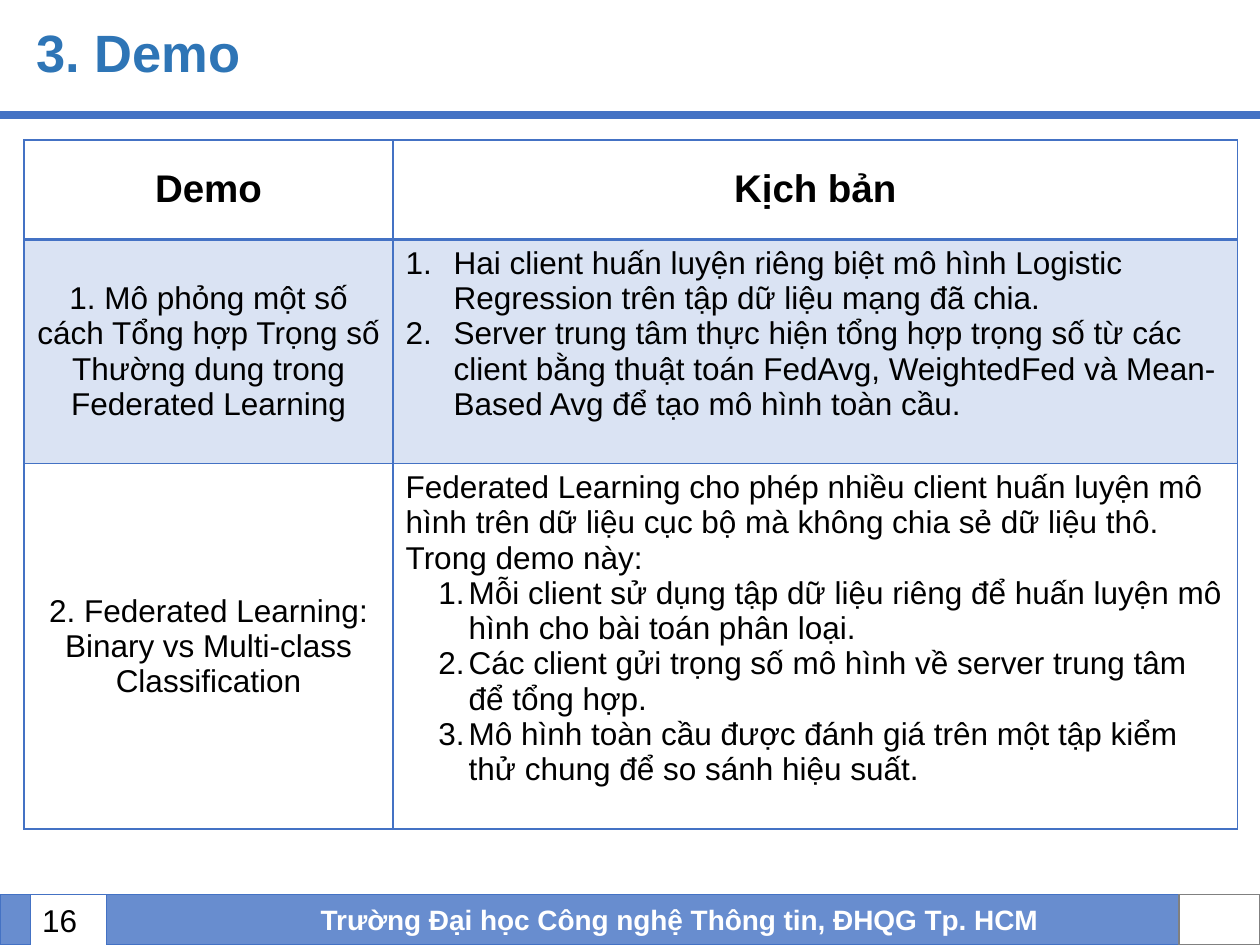
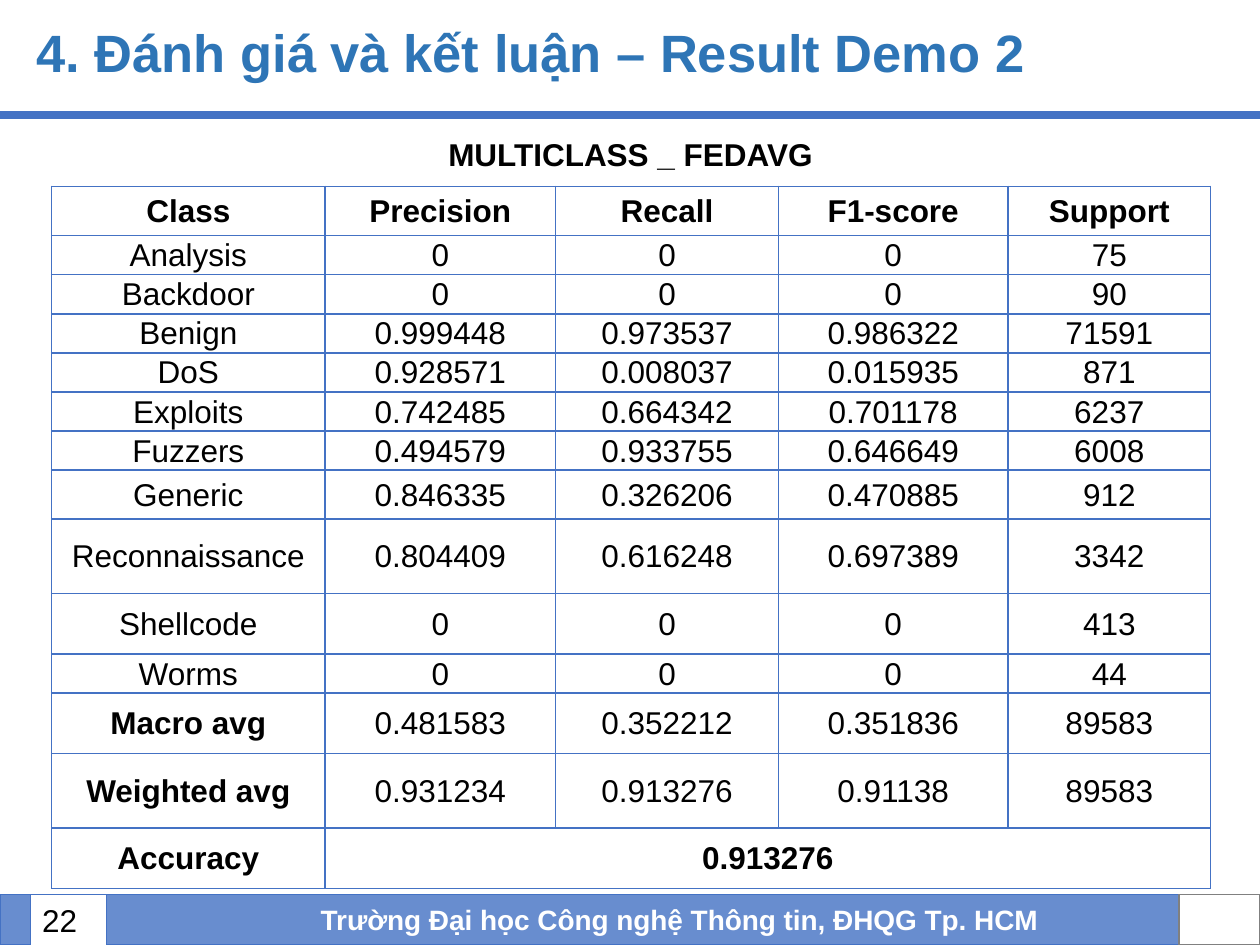
from lxml import etree
from pptx import Presentation
from pptx.dml.color import RGBColor
from pptx.enum.shapes import MSO_CONNECTOR, MSO_SHAPE
from pptx.enum.text import MSO_ANCHOR, MSO_AUTO_SIZE, PP_ALIGN
from pptx.oxml.ns import qn
from pptx.util import Inches, Pt

RECT = MSO_SHAPE.RECTANGLE
STRAIGHT = MSO_CONNECTOR.STRAIGHT
MIDDLE, TOP = MSO_ANCHOR.MIDDLE, MSO_ANCHOR.TOP
LEFT, CENTER, RIGHT = PP_ALIGN.LEFT, PP_ALIGN.CENTER, PP_ALIGN.RIGHT
NO_AUTOSIZE = MSO_AUTO_SIZE.NONE

FONT = "Arial"
BLUE, TITLE_BLUE, FOOTER_BLUE, PALE_BLUE = "4472C4", "2E75B6", "688DCF", "DAE3F3"
BLACK, WHITE, GRAY = "000000", "FFFFFF", "808080"
FOOTER_TEXT = "Trường Đại học Công nghệ Thông tin, ĐHQG Tp. HCM"
FOOTER_TOP, FOOTER_H = 7.1, 0.4

DEMO_1 = "1. Mô phỏng một số cách Tổng hợp Trọng số Thường dung trong Federated Learning"
DEMO_1_STEPS = [
    "Hai client huấn luyện riêng biệt mô hình Logistic Regression trên tập dữ liệu mạng đã chia.",
    "Server trung tâm thực hiện tổng hợp trọng số từ các client bằng thuật toán FedAvg, "
    "WeightedFed và Mean-Based Avg để tạo mô hình toàn cầu.",
]
DEMO_2 = "2. Federated Learning: Binary vs Multi-class Classification"
DEMO_2_INTRO = ("Federated Learning cho phép nhiều client huấn luyện mô hình trên dữ liệu cục bộ "
                "mà không chia sẻ dữ liệu thô. Trong demo này:")
DEMO_2_STEPS = [
    "Mỗi client sử dụng tập dữ liệu riêng để huấn luyện mô hình cho bài toán phân loại.",
    "Các client gửi trọng số mô hình về server trung tâm để tổng hợp.",
    "Mô hình toàn cầu được đánh giá trên một tập kiểm thử chung để so sánh hiệu suất.",
]

RESULTS = [
    ("Class", "Precision", "Recall", "F1-score", "Support"),
    ("Analysis", "0", "0", "0", "75"),
    ("Backdoor", "0", "0", "0", "90"),
    ("Benign", "0.999448", "0.973537", "0.986322", "71591"),
    ("DoS", "0.928571", "0.008037", "0.015935", "871"),
    ("Exploits", "0.742485", "0.664342", "0.701178", "6237"),
    ("Fuzzers", "0.494579", "0.933755", "0.646649", "6008"),
    ("Generic", "0.846335", "0.326206", "0.470885", "912"),
    ("Reconnaissance", "0.804409", "0.616248", "0.697389", "3342"),
    ("Shellcode", "0", "0", "0", "413"),
    ("Worms", "0", "0", "0", "44"),
    ("Macro avg", "0.481583", "0.352212", "0.351836", "89583"),
    ("Weighted avg", "0.931234", "0.913276", "0.91138", "89583"),
    ("Accuracy", "0.913276"),
]
RESULT_COLS = [2.17, 1.83, 1.77, 1.82, 1.61]
RESULT_ROWS = [0.39] + [0.3] * 6 + [0.39, 0.59, 0.48, 0.3, 0.48, 0.59, 0.48]
BOLD_LABELS = ("Macro avg", "Weighted avg", "Accuracy")


def rgb(color):
    return RGBColor.from_string(color)


def format_text(p, size, color=BLACK, bold=False, align=LEFT):
    p.alignment = align
    for r in p.runs:
        r.font.name = FONT
        r.font.size = Pt(size)
        r.font.bold = bold
        r.font.color.rgb = rgb(color)


def number_paragraph(p, margin, hanging):
    pPr = p._p.get_or_add_pPr()
    pPr.set("marL", str(Inches(margin)))
    pPr.set("indent", str(-Inches(hanging)))
    etree.SubElement(pPr, qn("a:buFont"), typeface="+mj-lt")
    etree.SubElement(pPr, qn("a:buAutoNum"), type="arabicPeriod")


def add_rect(slide, x, w, fill, line, line_width):
    sp = slide.shapes.add_shape(RECT, Inches(x), Inches(FOOTER_TOP), Inches(w), Inches(FOOTER_H))
    sp.shadow.inherit = False
    sp.fill.solid()
    sp.fill.fore_color.rgb = rgb(fill)
    sp.line.color.rgb = rgb(line)
    sp.line.width = Pt(line_width)
    return sp


def add_text(slide, x, y, w, h, text, size, **style):
    sp = slide.shapes.add_textbox(Inches(x), Inches(y), Inches(w), Inches(h))
    tf = sp.text_frame
    tf.word_wrap = True
    tf.vertical_anchor = MIDDLE
    tf.text = text
    format_text(tf.paragraphs[0], size, **style)


def add_title_rule(slide):
    y = Inches(0.91)
    rule = slide.shapes.add_connector(STRAIGHT, 0, y, Inches(10), y)
    rule.line.color.rgb = rgb(BLUE)
    rule.line.width = Pt(4.5)
    etree.SubElement(rule._element.spPr, qn("a:effectLst"))


def add_footer(slide, number):
    band = add_rect(slide, 0, 9.48, FOOTER_BLUE, BLUE, 1)
    tf = band.text_frame
    tf.margin_left = tf.margin_right = Inches(0.15)
    tf.margin_top = tf.margin_bottom = Inches(0.07)
    tf.vertical_anchor = MIDDLE
    tf.text = FOOTER_TEXT
    p = tf.paragraphs[0]
    p._p.get_or_add_pPr().set("marL", str(Inches(1.31)))
    format_text(p, 16, WHITE, True, CENTER)
    add_rect(slide, 0.24, 0.6, WHITE, BLUE, 0.25)
    add_rect(slide, 9.36, 0.64, WHITE, GRAY, 1)
    add_text(slide, 0.11, FOOTER_TOP, 0.6, FOOTER_H, number, 18, align=RIGHT)


def add_slide(prs, title, number):
    slide = prs.slides.add_slide(prs.slide_layouts[5])
    sp = slide.shapes.title
    sp.left, sp.top, sp.width, sp.height = Inches(0.19), Inches(0.16), Inches(8.98), Inches(0.56)
    tf = sp.text_frame
    tf.text = title
    tf.word_wrap = True
    tf.auto_size = NO_AUTOSIZE
    tf.vertical_anchor = MIDDLE
    p = tf.paragraphs[0]
    p.line_spacing = 0.9
    format_text(p, 30, TITLE_BLUE, True)
    add_title_rule(slide)
    add_footer(slide, number)
    return slide


def set_borders(cell, top=1, bottom=1):
    tcPr = cell._tc.get_or_add_tcPr()
    for side, width in (("L", 1), ("R", 1), ("T", top), ("B", bottom)):
        ln = etree.SubElement(tcPr, qn(f"a:ln{side}"), w=str(Pt(width)))
        fill = etree.SubElement(ln, qn("a:solidFill"))
        etree.SubElement(fill, qn("a:srgbClr"), val=BLUE)


def add_table(slide, x, y, cols, rows, header_rule=1):
    table = slide.shapes.add_table(len(rows), len(cols), Inches(x), Inches(y),
                                   Inches(sum(cols)), Inches(sum(rows))).table
    table.first_row = table.horz_banding = False
    for column, width in zip(table.columns, cols):
        column.width = Inches(width)
    for i, (row, height) in enumerate(zip(table.rows, rows)):
        row.height = Inches(height)
        for cell in row.cells:
            set_borders(cell, top=header_rule if i == 1 else 1,
                        bottom=header_rule if i == 0 else 1)
            cell.fill.background()
            cell.vertical_anchor = MIDDLE
    return table


def fill_cell(cell, text, size=18, bold=False):
    cell.text = text
    format_text(cell.text_frame.paragraphs[0], size, bold=bold, align=CENTER)


def fill_scenario(cell, steps, margin, hanging, intro=None):
    cell.vertical_anchor = TOP
    tf = cell.text_frame
    lines = [intro] + steps if intro else steps
    tf.text = "\n".join(lines)
    for p in tf.paragraphs:
        if p.text != intro:
            number_paragraph(p, margin, hanging)
        format_text(p, 18)


def build_demo_slide(prs):
    slide = add_slide(prs, "3. Demo", "16")
    table = add_table(slide, 0.19, 1.11, [2.93, 6.7], [0.79, 1.78, 2.9], header_rule=2)
    for col, heading in enumerate(("Demo", "Kịch bản")):
        fill_cell(table.cell(0, col), heading, 22, True)
        shaded = table.cell(1, col)
        shaded.fill.solid()
        shaded.fill.fore_color.rgb = rgb(PALE_BLUE)
    fill_cell(table.cell(1, 0), DEMO_1)
    fill_cell(table.cell(2, 0), DEMO_2)
    fill_scenario(table.cell(1, 1), DEMO_1_STEPS, 0.38, 0.38)
    fill_scenario(table.cell(2, 1), DEMO_2_STEPS, 0.5, 0.24, DEMO_2_INTRO)


def build_result_slide(prs):
    slide = add_slide(prs, "4. Đánh giá và kết luận – Result Demo 2", "22")
    table = add_table(slide, 0.41, 1.48, RESULT_COLS, RESULT_ROWS)
    last = len(RESULTS) - 1
    table.cell(last, 1).merge(table.cell(last, len(RESULT_COLS) - 1))
    for i, values in enumerate(RESULTS):
        for j, value in enumerate(values):
            cell = table.cell(i, j)
            cell.margin_left = cell.margin_right = cell.margin_top = Inches(0.01)
            cell.margin_bottom = 0
            fill_cell(cell, value, bold=i in (0, last) or value in BOLD_LABELS)
    add_text(slide, 2.74, 1.02, 4.53, 0.4, "MULTICLASS _ FEDAVG", 18, bold=True, align=CENTER)


def main():
    prs = Presentation()
    prs.slide_width, prs.slide_height = Inches(10), Inches(7.5)
    build_demo_slide(prs)
    build_result_slide(prs)
    prs.save("out.pptx")


if __name__ == "__main__":
    main()
